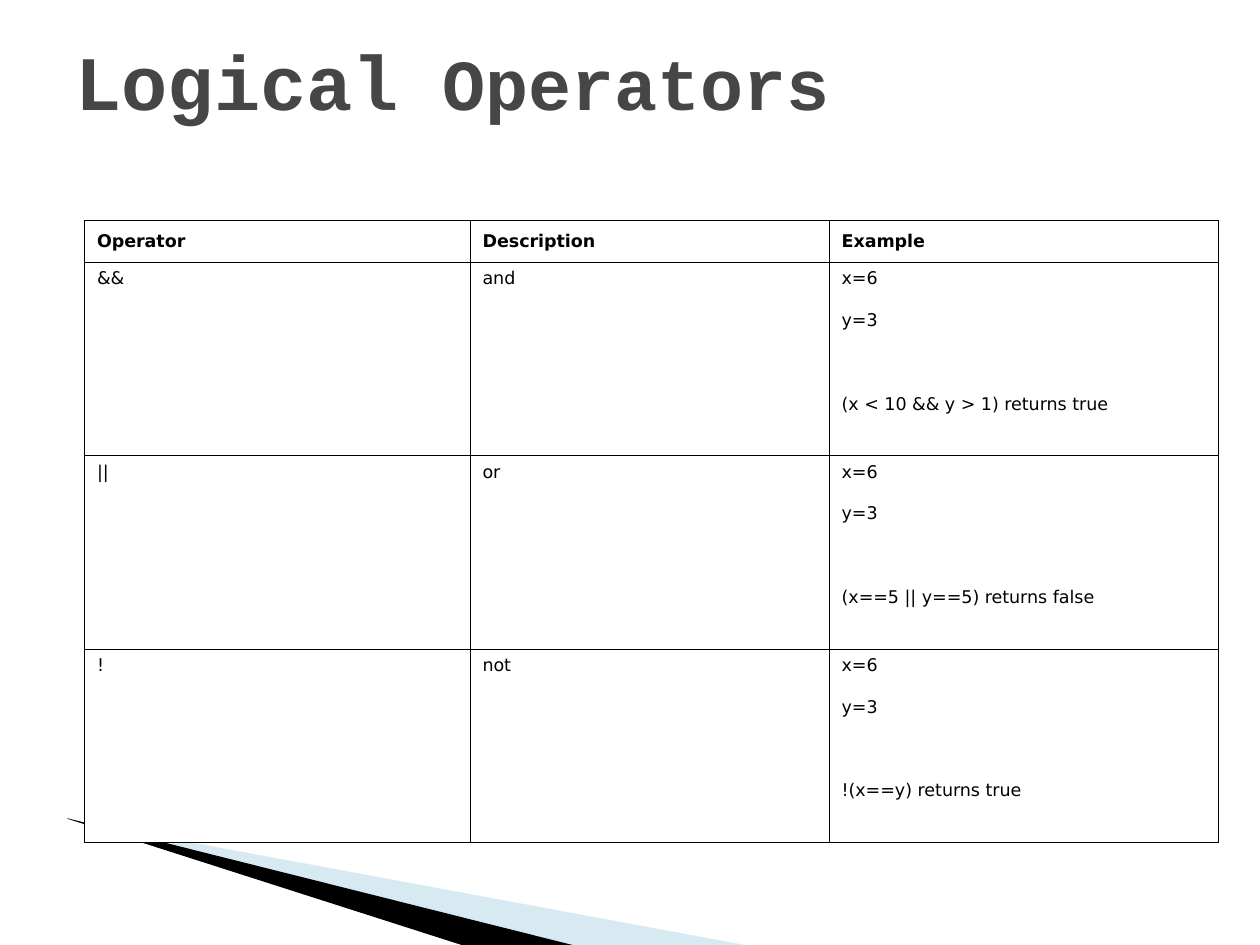
from lxml import etree
from pptx import Presentation
from pptx.dml.color import RGBColor
from pptx.enum.text import MSO_ANCHOR, PP_ALIGN
from pptx.oxml.ns import qn
from pptx.util import Pt

LEFT = PP_ALIGN.LEFT
TOP, MIDDLE = MSO_ANCHOR.TOP, MSO_ANCHOR.MIDDLE
TITLE_ONLY = 5

HEADINGS = ["Operator", "Description", "Example"]
OPERATORS = [
    ("&&", "and", "(x < 10 && y > 1) returns true"),
    ("||", "or", "(x==5 || y==5) returns false"),
    ("!", "not", "!(x==y) returns true"),
]
COL_WIDTHS = [220.32, 205.2, 222.48]
ROW_HEIGHT, RESULT_HEIGHT = 23.9, 38.75
ROWS_PER_OPERATOR = 4


def rgb(value):
    return RGBColor.from_string(value)


class SlideBuilder:
    title_font, title_color = "Courier New", "464646"
    body_font, body_size = "DejaVu Sans", 10
    ink, paper = "000000", "FFFFFF"
    border_width, indent = 0.45, 27

    def __init__(self, slide):
        self.s = slide

    def title(self, x, y, w, h, parts):
        """Fill the title placeholder with (text, size) runs."""
        sp = self.s.shapes.title
        sp.left, sp.top, sp.width, sp.height = Pt(x), Pt(y), Pt(w), Pt(h)
        tf = sp.text_frame
        tf.vertical_anchor = MIDDLE
        p = tf.paragraphs[0]
        p.alignment = LEFT
        p.font.name, p.font.bold = self.title_font, True
        p.font.color.rgb = rgb(self.title_color)
        for text, size in parts:
            r = p.add_run()
            r.text = text
            r.font.size = Pt(size)

    def polygon(self, points, color, opacity=100):
        pts = [(Pt(x), Pt(y)) for x, y in points]
        builder = self.s.shapes.build_freeform(*pts[0])
        builder.add_line_segments(pts[1:])
        sp = builder.convert_to_shape()
        sp.shadow.inherit = False
        sp.line.fill.background()
        sp.fill.solid()
        sp.fill.fore_color.rgb = rgb(color)
        if opacity < 100:
            clr = sp.fill._xPr.find(".//" + qn("a:srgbClr"))
            etree.SubElement(clr, qn("a:alpha"), val=str(opacity * 1000))

    def table(self, x, y, widths, heights):
        frame = self.s.shapes.add_table(len(heights), len(widths), Pt(x), Pt(y),
                                        Pt(sum(widths)), Pt(sum(heights)))
        table = frame.table
        table.first_row = table.horz_banding = False
        for column, width in zip(table.columns, widths):
            column.width = Pt(width)
        for row, height in zip(table.rows, heights):
            row.height = Pt(height)
        return table

    def cell(self, cell, text="", sides="LRTB", bold=False, anchor=TOP):
        """Style one cell; sides names the edges that carry a border."""
        p = cell.text_frame.paragraphs[0]
        if text:
            p.text = text
            pPr = p._p.get_or_add_pPr()
            pPr.set("marL", str(Pt(self.indent)))
            pPr.set("indent", str(-Pt(self.indent)))
        else:
            cell.margin_top = cell.margin_bottom = 0
        p.font.name, p.font.size = self.body_font, Pt(self.body_size)
        p.font.bold = bold
        p.font.color.rgb = rgb(self.ink)
        cell.vertical_anchor = anchor
        tcPr = cell._tc.get_or_add_tcPr()
        for side in "LRTB":
            ln = etree.SubElement(tcPr, qn("a:ln" + side), w=str(Pt(self.border_width)))
            if side in sides:
                fill = etree.SubElement(ln, qn("a:solidFill"))
                etree.SubElement(fill, qn("a:srgbClr"), val=self.ink)
            else:
                etree.SubElement(ln, qn("a:noFill"))
        cell.fill.solid()
        cell.fill.fore_color.rgb = rgb(self.paper)


def add_operator_table(b):
    last = ROWS_PER_OPERATOR - 1
    heights = [ROW_HEIGHT] + ([ROW_HEIGHT] * last + [RESULT_HEIGHT]) * len(OPERATORS)
    table = b.table(48.24, 126, COL_WIDTHS, heights)
    for col, heading in enumerate(HEADINGS):
        b.cell(table.cell(0, col), heading, bold=True, anchor=MIDDLE)

    for i, (operator, description, result) in enumerate(OPERATORS):
        top = 1 + i * ROWS_PER_OPERATOR
        for k, example in enumerate(["x=6", "y=3", "", result]):
            sides = "LR" + ("T" if k == 0 else "") + ("B" if k == last else "")
            b.cell(table.cell(top + k, 2), example, sides)
            for col, text in enumerate([operator, description]):
                b.cell(table.cell(top + k, col), "" if k else text)
        for col in range(2):
            table.cell(top, col).merge(table.cell(top + last, col))


def main():
    prs = Presentation()
    prs.slide_width, prs.slide_height = Pt(720), Pt(540)
    b = SlideBuilder(prs.slides.add_slide(prs.slide_layouts[TITLE_ONLY]))
    b.polygon([(39.6, 468.5), (428.4, 540.5), (328.3, 540.5), (39.6, 468)],
              "9FCBDC", opacity=40)
    b.polygon([(38.2, 467.5), (329, 540.5), (267.8, 541.3), (38.9, 468)], "000000")
    b.title(36, 13.7, 648, 64, [("Logical", 44), (" Operators", 41)])
    add_operator_table(b)
    prs.save("out.pptx")


if __name__ == "__main__":
    main()
